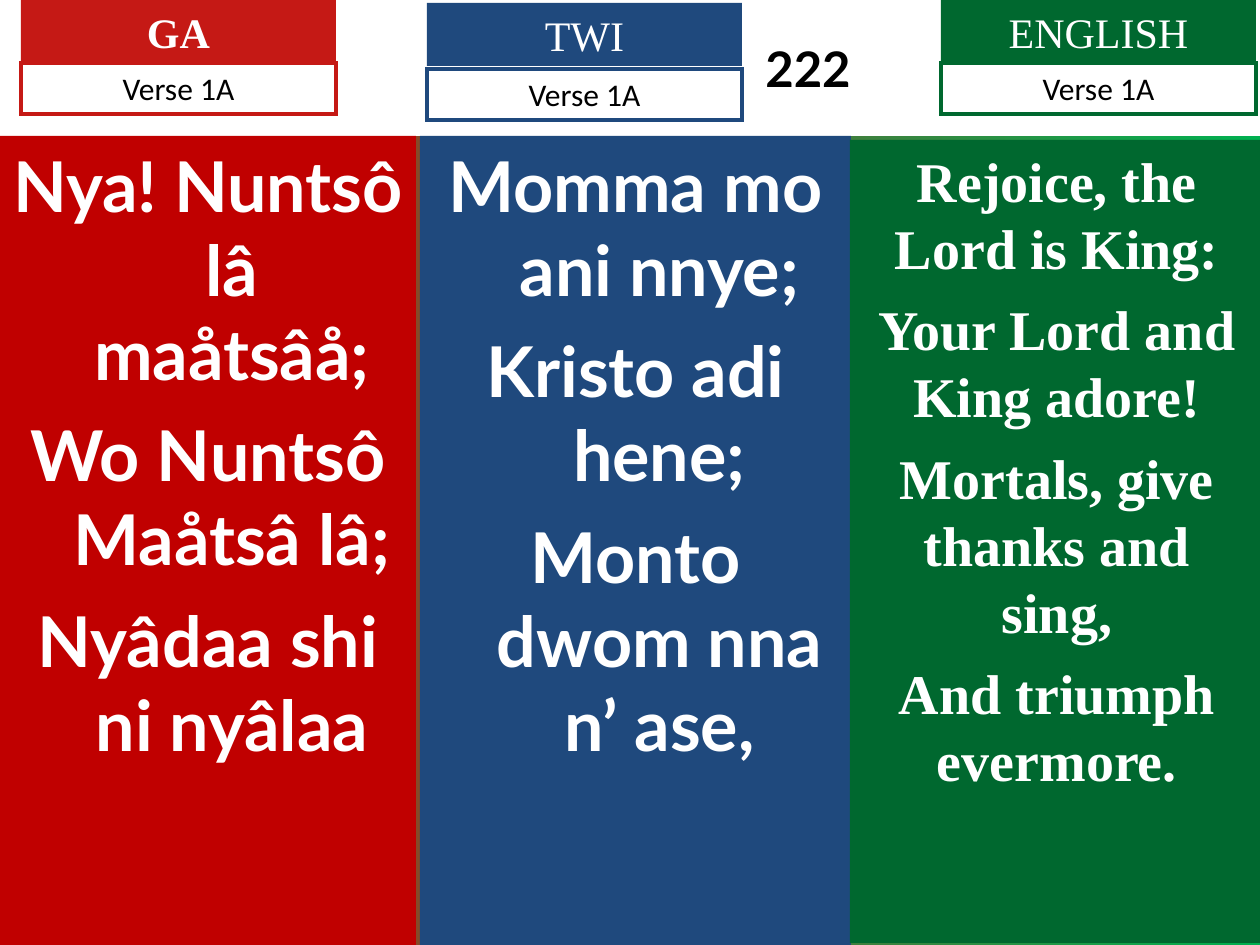
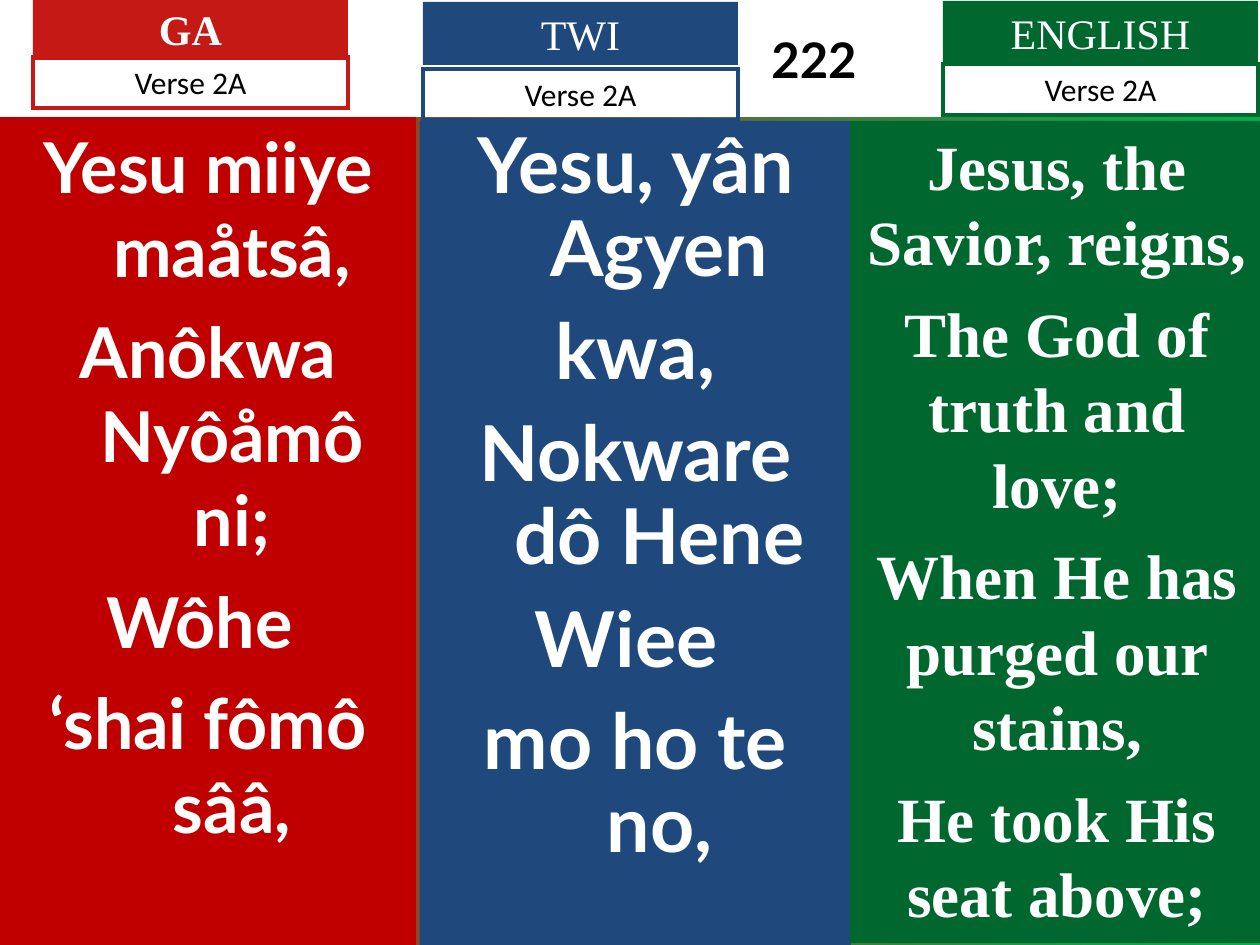
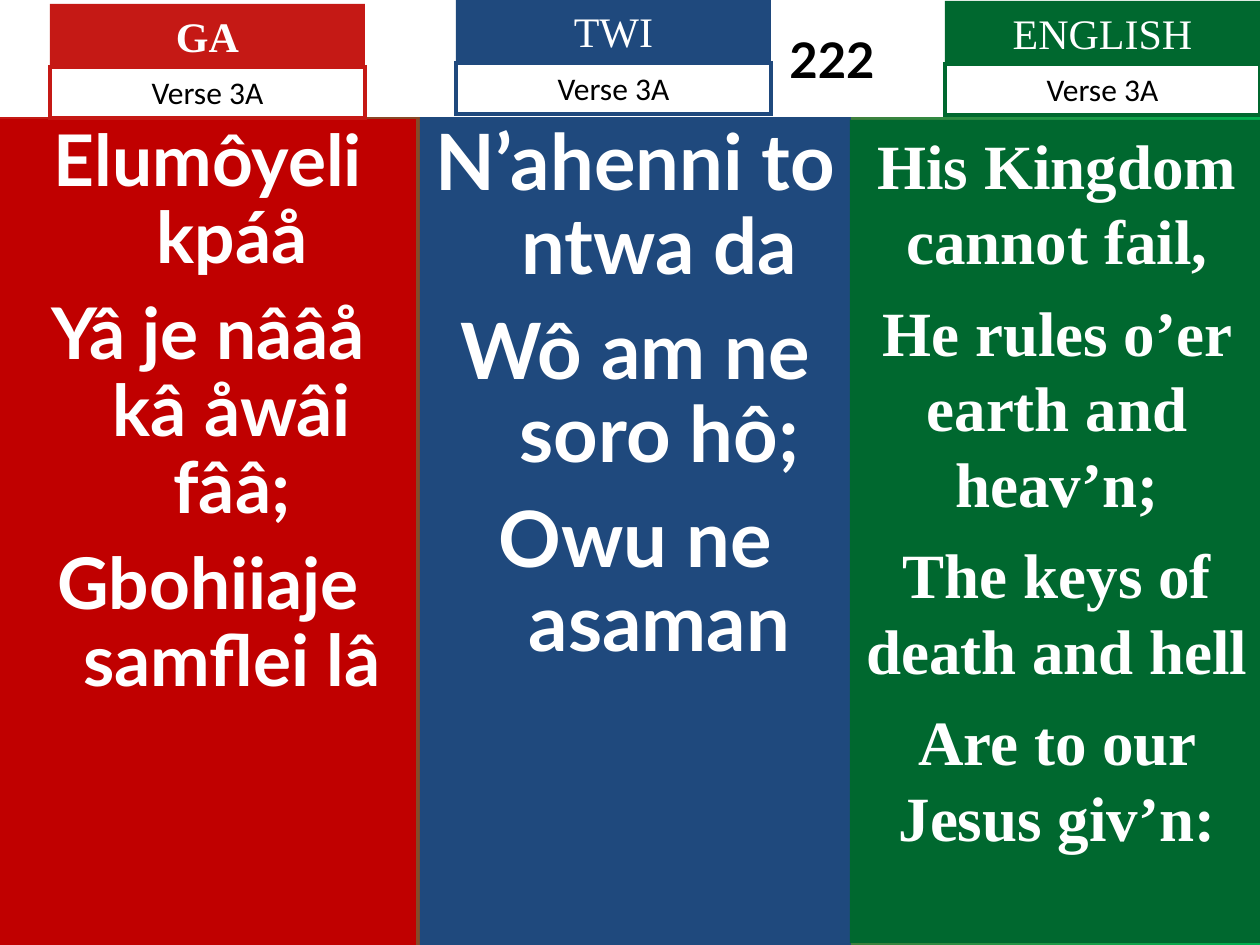
"""Build three hymn slides with the verse in Ga, Twi and English side by side."""
from collections import namedtuple

from lxml.etree import SubElement
from pptx import Presentation
from pptx.dml.color import RGBColor
from pptx.enum.text import MSO_ANCHOR, PP_ALIGN
from pptx.oxml.ns import qn
from pptx.util import Emu, Pt

RED = RGBColor(0xC5, 0x19, 0x15)
DARK_RED = RGBColor(0xC0, 0x00, 0x00)
BLUE = RGBColor(0x1F, 0x49, 0x7D)
GREEN = RGBColor(0x00, 0x68, 0x2F)
BRIGHT_GREEN = RGBColor(0x00, 0xB0, 0x50)
WHITE = RGBColor(0xFF, 0xFF, 0xFF)
BLACK = RGBColor(0x00, 0x00, 0x00)

SERIF, SANS, HYMN_FONT = "Times New Roman", "Calibri", "Lato"
PAGE_WIDTH, PAGE_HEIGHT = 1260, 945
LABEL_WIDTH, LABEL_HEIGHT, VERSE_HEIGHT = 315, 63, 51
HYMN_NUMBER = "222"

Language = namedtuple(
    "Language", "name label_color label_bold color left width bottom font hanging")
Lyrics = namedtuple("Lyrics", "label_left label_top verse_top top size spacing gap lines")

LANGUAGES = [
    Language("GA", RED, True, DARK_RED, 0, 416, 945, HYMN_FONT, 48),
    Language("TWI", BLUE, False, BLUE, 420, 431, 945, HYMN_FONT, 48),
    Language("ENGLISH", GREEN, False, GREEN, 850, 414, 943, SERIF, 0),
]

VERSES = [
    {"title": "Verse 1A", "band_height": 136, "number_center": 808, "lyrics": [
        Lyrics(21, 0, 63, 136, 40, 1, 10, [
            "Nya! Nuntsô lâ maåtsâå;", "Wo Nuntsô Maåtsâ lâ;", "Nyâdaa shi ni nyâlaa"]),
        Lyrics(427, 3, 69, 136, 40, 1, 10, [
            "Momma mo ani nnye;", "Kristo adi hene;", "Monto dwom nna n’ ase,"]),
        Lyrics(941, 0, 63, 140, 32, 1, 8, [
            "Rejoice, the Lord is King:", "Your Lord and King adore!",
            "Mortals, give thanks and sing,", "And triumph evermore."]),
    ]},
    {"title": "Verse 2A", "band_height": 117, "number_center": 814, "lyrics": [
        Lyrics(33, -3, 57, 117, 40, 1, 10, [
            "Yesu miiye maåtsâ,", "Anôkwa Nyôåmô ni;", "Wôhe ", "‘shai fômô sââ,"]),
        Lyrics(423, 2, 69, 121, 44, 0.9, 11, [
            "Yesu, yân Agyen", "kwa,", "Nokware dô Hene", "Wiee ", "mo ho te no,"]),
        Lyrics(943, 1, 64, 121, 36, 1, 9, [
            "Jesus, the Savior, reigns,", "The God of truth and love;",
            "When He has purged our stains,", "He took His seat above;"]),
    ]},
    {"title": "Verse 3A", "band_height": 117, "number_center": 832, "lyrics": [
        Lyrics(50, 4, 67, 119, 40.7, 0.9, 11, [
            "Elumôyeli kpáå", "Yâ je nââå kâ åwâi fââ;", "Gbohiiaje samflei lâ"]),
        Lyrics(456, -1, 63, 117, 44.4, 0.9, 12, [
            "N’ahenni to ntwa da", "Wô am ne soro hô;", "Owu ne asaman"]),
        Lyrics(945, 1, 64, 120, 36, 1, 9, [
            "His Kingdom cannot fail,", "He rules o’er earth and heav’n;",
            "The keys of death and hell", "Are to our Jesus giv’n:"]),
    ]},
]


def px(length):
    return Emu(round(length * 914400 / 126))


def add_box(page, left, top, width, height, lines, font, size, color, bold=False, fill=None):
    box = page.shapes.add_textbox(px(left), px(top), px(width), px(height))
    if fill is not None:
        box.fill.solid()
        box.fill.fore_color.rgb = fill
    frame = box.text_frame
    frame.word_wrap = True
    frame.text = "\n".join(lines)
    for para in frame.paragraphs:
        para.alignment = PP_ALIGN.CENTER
        para.font.name = font
        para.font.size = Pt(size)
        para.font.bold = bold
        para.font.color.rgb = color
    return box


def paint_background(page):
    fill = page.background.fill
    fill.gradient()
    fill.gradient_angle = 0
    for stop, color in zip(fill.gradient_stops, (RED, BRIGHT_GREEN)):
        stop.color.rgb = color


def add_number_band(page, height, center):
    band = add_box(page, 0, 0, PAGE_WIDTH, height, [HYMN_NUMBER], HYMN_FONT, 28, BLACK, True, WHITE)
    frame = band.text_frame
    frame.vertical_anchor = MSO_ANCHOR.MIDDLE
    frame.margin_left = px(2 * center - PAGE_WIDTH)
    frame.margin_right = 0


def add_column(page, language, lyrics):
    column = add_box(page, language.left, lyrics.top, language.width,
                     language.bottom - lyrics.top, lyrics.lines, language.font,
                     lyrics.size, WHITE, True, language.color)
    for index, para in enumerate(column.text_frame.paragraphs):
        para.line_spacing = lyrics.spacing
        para.space_before = Pt(lyrics.gap if index else 0)
        if language.hanging:
            properties = para._p.get_or_add_pPr()
            properties.set("marL", str(px(language.hanging)))
            properties.set("indent", str(-px(language.hanging)))


def add_heading(page, language, lyrics, title):
    add_box(page, lyrics.label_left, lyrics.label_top, LABEL_WIDTH, LABEL_HEIGHT,
            [language.name], SERIF, 24, WHITE, language.label_bold, language.label_color)
    verse = add_box(page, lyrics.label_left, lyrics.verse_top, LABEL_WIDTH, VERSE_HEIGHT,
                    [title], SANS, 18, BLACK)
    verse.line.color.rgb = language.label_color
    verse.line.width = Pt(2.25)
    outline = verse._element.spPr.find(qn("a:ln"))
    SubElement(outline, qn("a:miter"), lim="800000")


def main():
    deck = Presentation()
    deck.slide_width, deck.slide_height = px(PAGE_WIDTH), px(PAGE_HEIGHT)
    for verse in VERSES:
        page = deck.slides.add_slide(deck.slide_layouts[6])
        paint_background(page)
        add_number_band(page, verse["band_height"], verse["number_center"])
        for language, lyrics in zip(LANGUAGES, verse["lyrics"]):
            add_column(page, language, lyrics)
            add_heading(page, language, lyrics, verse["title"])
    deck.save("out.pptx")


if __name__ == "__main__":
    main()
